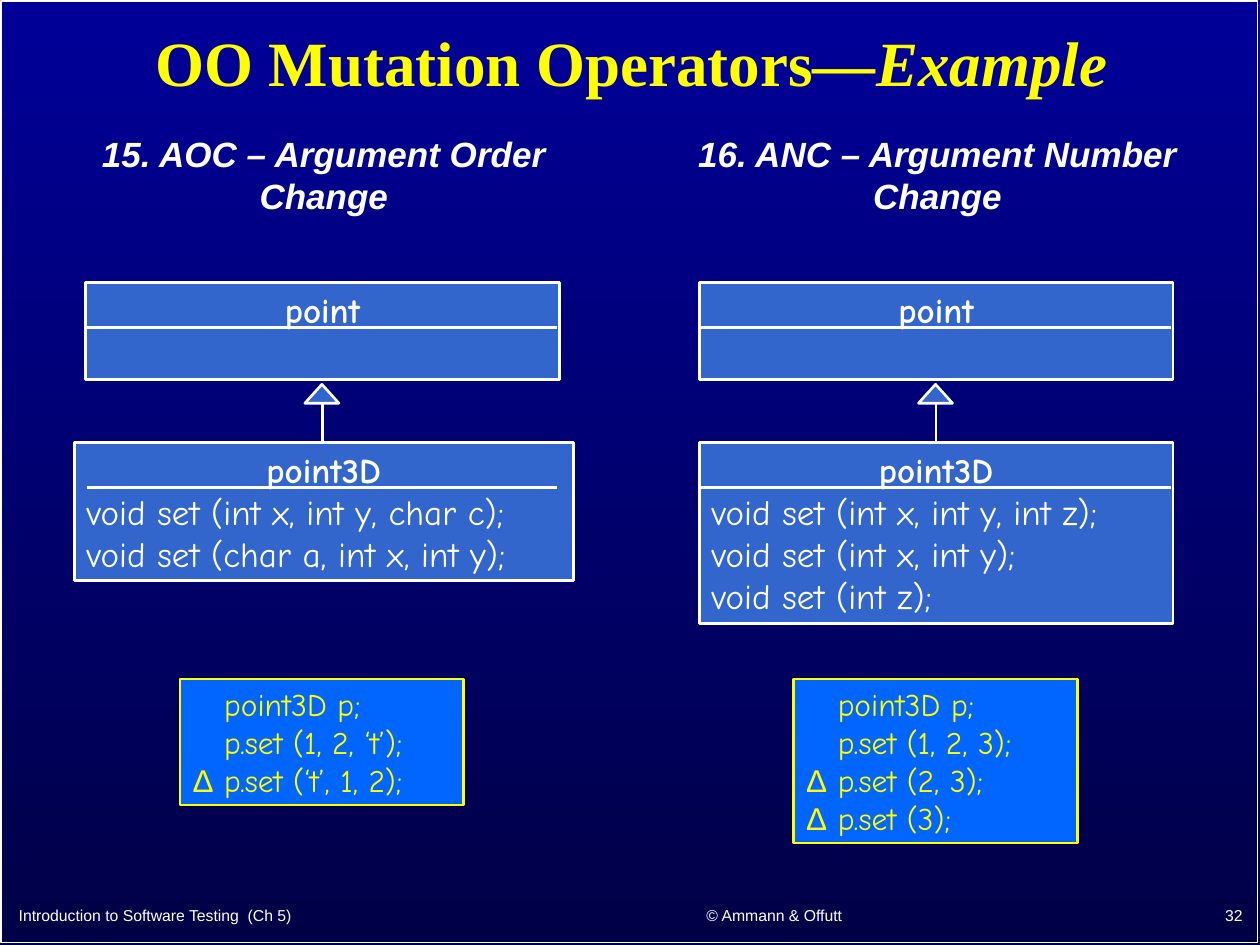
from lxml import etree
from pptx import Presentation
from pptx.dml.color import RGBColor
from pptx.enum import shapes, text
from pptx.oxml.ns import qn
from pptx.util import Inches, Pt

COLORS = {k: RGBColor.from_string(v) for k, v in {
    "top": "000099", "bottom": "000047", "white": "FFFFFF",
    "yellow": "FFFF00", "class": "3366CC", "code": "0066FF"}.items()}
SHAPE, ALIGN = shapes.MSO_SHAPE, text.PP_ALIGN
BODY = "Comic Neue"


def add_box(kind, x, y, w, h, fill=None, line=None, width=1.5):
    """Add a preset shape, or a text box when kind is None."""
    at = [Inches(v) for v in (x, y, w, h)]
    if kind is None:
        sp = s.shapes.add_textbox(*at)
    else:
        sp = s.shapes.add_shape(kind, *at)
        sp.shadow.inherit = False
        sp.fill.background()
        if fill:
            sp.fill.solid()
            sp.fill.fore_color.rgb = COLORS[fill]
        sp.line.color.rgb = COLORS[line]
        sp.line.width = Pt(width)
        sp.text_frame.vertical_anchor = text.MSO_ANCHOR.TOP
    sp.text_frame.word_wrap = True
    return sp


def add_text(tf, i, runs, size, color, align=ALIGN.LEFT, bold=False, italic=False):
    """Write paragraph i of a frame from (text, font) runs."""
    p = tf.paragraphs[0] if i == 0 else tf.add_paragraph()
    p.alignment = align
    for words, font in runs:
        r = p.add_run()
        r.text = words
        r.font.name, r.font.size = font, Pt(size)
        r.font.bold, r.font.italic = bold, italic
        r.font.color.rgb = COLORS[color]
    return p


prs = Presentation()
prs.slide_width, prs.slide_height = Inches(10), Inches(7.5)
s = prs.slides.add_slide(prs.slide_layouts[5])

bg = s.background.fill
bg.gradient()
bg.gradient_angle = 270
for stop, name, position in zip(bg.gradient_stops, ("top", "bottom"), (0, 1)):
    stop.color.rgb = COLORS[name]
    stop.position = position
add_box(SHAPE.RECTANGLE, 0.01, 0.01, 9.97, 7.47, line="white", width=1)

title = s.shapes.title
title.left, title.top = Inches(0.19), Inches(0.11)
title.width, title.height = Inches(9.64), Inches(0.83)
tf = title.text_frame
tf.auto_size = text.MSO_AUTO_SIZE.NONE
tf.vertical_anchor = text.MSO_ANCHOR.MIDDLE
p = add_text(tf, 0, [("OO Mutation Operators—", "Times New Roman"),
                     ("Example", "Times New Roman")],
             36, "yellow", ALIGN.CENTER, bold=True)
p.line_spacing = 0.9
p.runs[1].font.italic = True

# Each column: left edge, heading, subclass box (inset, height), methods, calls, changed calls
columns = [
    (0.68, "15. AOC – Argument Order Change", 0.09, 1.1,
     ["void set (int x, int y, char c);", "void set (char a, int x, int y);"],
     ["point3D p;", "p.set (1, 2, ‘t’);"], ["p.set (‘t’, 1, 2);"]),
    (5.55, "16. ANC – Argument Number Change", 0, 1.44,
     ["void set (int x, int y, int z);", "void set (int x, int y);",
      "void set (int z);"],
     ["point3D p;", "p.set (1, 2, 3);"], ["p.set (2, 3);", "p.set (3);"]),
]
for x, heading, extra, height, methods, calls, mutants in columns:
    tf = add_box(None, x - 0.4, 1, 4.58, 0.77).text_frame
    add_text(tf, 0, [(heading, "Arial")], 20, "white", ALIGN.CENTER, True, True)

    parent = add_box(SHAPE.RECTANGLE, x, 2.24, 3.76, 0.77, "class", "white")
    child = add_box(SHAPE.RECTANGLE, x - extra, 3.51, 3.76 + 0.2 * bool(extra),
                    height, "class", "white")
    for sp, name in ((parent, "point"), (child, "point3D")):
        add_text(sp.text_frame, 0, [(name, BODY)], 20, "white", ALIGN.CENTER, True)
    for i, method in enumerate(methods, 1):
        add_text(child.text_frame, i, [(method, BODY)], 20, "white")

    add_box(SHAPE.ISOSCELES_TRIANGLE, x + 1.74, 3.05, 0.27, 0.15, "class", "white")
    stem = x + 1.88
    for x1, y1, x2, y2 in ((stem, 3.21, stem, 3.5),
                           (x + 0.01, 2.6, x + 3.74, 2.6),
                           (x + 0.01, 3.87, x + 3.74, 3.87)):
        line = s.shapes.add_connector(shapes.MSO_CONNECTOR.STRAIGHT,
                                      Inches(x1), Inches(y1), Inches(x2), Inches(y2))
        line.line.color.rgb = COLORS["white"]
        line.line.width = Pt(1.5)
        etree.SubElement(line._element.spPr, qn("a:effectLst"))

    rows = [[("   " + call, BODY)] for call in calls]
    rows += [[("Δ", "Arial"), (" " + call, BODY)] for call in mutants]
    code = add_box(SHAPE.RECTANGLE, x + 0.75, 5.39, 2.25, 0.1 + 0.3 * len(rows),
                   "code", "yellow")
    for i, runs in enumerate(rows):
        add_text(code.text_frame, i, runs, 18, "yellow")

for x, w, words, align in (
        (0.05, 4.24, "Introduction to Software Testing  (Ch 5)", ALIGN.LEFT),
        (4.56, 3.17, "© Ammann & Offutt", ALIGN.CENTER),
        (7.88, 2.08, "32", ALIGN.RIGHT)):
    tf = add_box(None, x, 7.11, w, 0.31).text_frame
    tf.vertical_anchor = text.MSO_ANCHOR.MIDDLE
    add_text(tf, 0, [(words, "Arial")], 9, "white", align)

prs.save("out.pptx")
